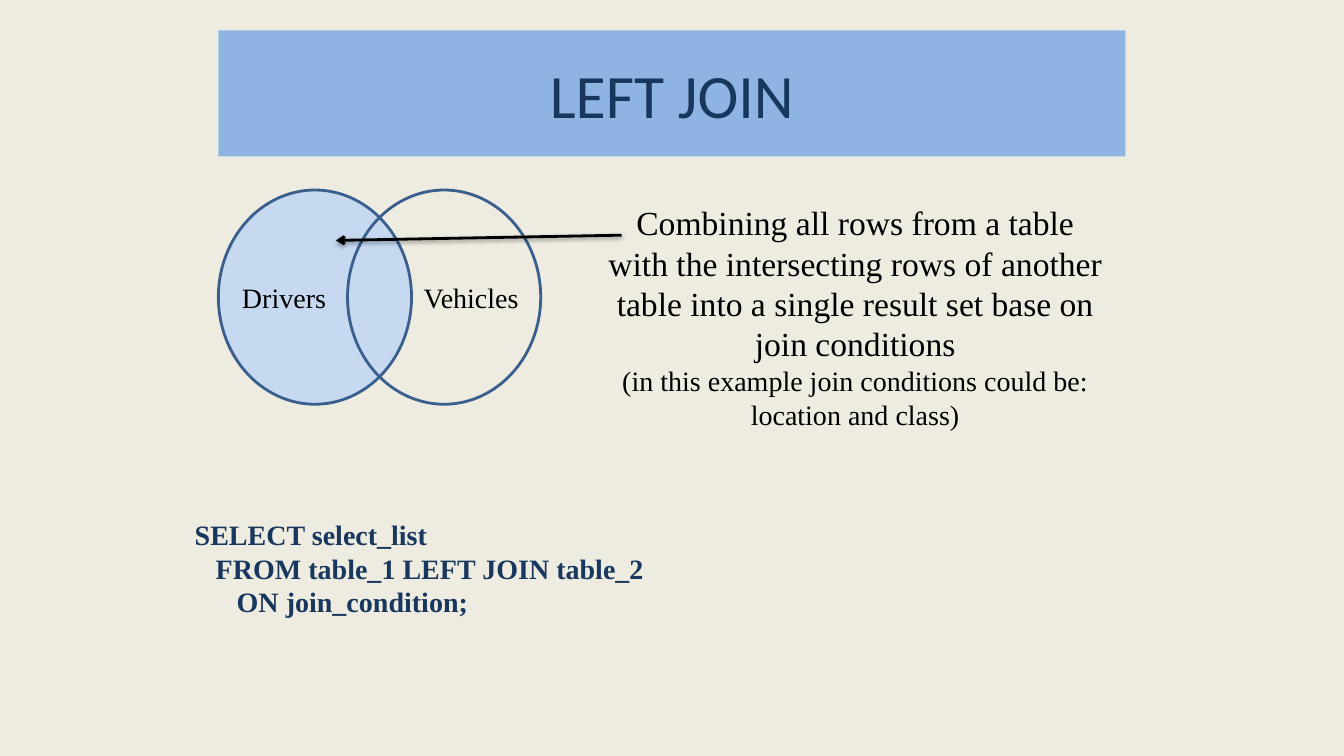
from lxml.etree import SubElement
from pptx import Presentation
from pptx.dml.color import RGBColor
from pptx.enum.shapes import MSO_CONNECTOR as CONN, MSO_SHAPE as SHAPE
from pptx.enum.text import MSO_ANCHOR as ANCHOR, PP_ALIGN as ALIGN
from pptx.oxml import parse_xml
from pptx.oxml.ns import nsdecls, qn
from pptx.util import Pt

PX = 9525  # EMU in one px, 96 px to the inch

CREAM = RGBColor(0xEE, 0xEC, 0xE1)
BANNER_BLUE = RGBColor(0x8E, 0xB4, 0xE3)
NAVY = RGBColor(0x17, 0x37, 0x5E)
PALE_BLUE = RGBColor(0xC6, 0xD9, 0xF1)
OUTLINE_BLUE = RGBColor(0x3A, 0x5F, 0x8C)
BLACK = RGBColor(0, 0, 0)
SERIF = "Times New Roman"

CIRCLE_TOP, CIRCLE_W, CIRCLE_H = 181, 184, 204
CODE_INDENT = 20

SHADOW = (
    f'<a:effectLst {nsdecls("a")}>'
    '<a:outerShdw blurRad="39370" dist="20320" dir="5400000" rotWithShape="0">'
    '<a:srgbClr val="000000"><a:alpha val="38000"/></a:srgbClr>'
    '</a:outerShdw></a:effectLst>'
)


def emu(*lengths):
    return [n * PX for n in lengths]


def add_run(p, text, size, color=BLACK, font=SERIF, bold=False):
    r = p.add_run()
    r.text = text
    r.font.name = font
    r.font.size = Pt(size)
    r.font.bold = bold
    r.font.color.rgb = color


def add_banner(s, text, box):
    sp = s.shapes.add_shape(SHAPE.RECTANGLE, *emu(*box))
    sp.shadow.inherit = False
    sp.fill.solid()
    sp.fill.fore_color.rgb = BANNER_BLUE
    sp.line.fill.background()
    tf = sp.text_frame
    tf.vertical_anchor = ANCHOR.MIDDLE
    p = tf.paragraphs[0]
    p.alignment = ALIGN.CENTER
    add_run(p, text, 44, NAVY, "Calibri")


def add_circle(group, left, fill=None):
    sp = group.shapes.add_shape(
        SHAPE.OVAL, *emu(left, CIRCLE_TOP, CIRCLE_W, CIRCLE_H))
    sp.shadow.inherit = False
    if fill is None:
        sp.fill.background()
    else:
        sp.fill.solid()
        sp.fill.fore_color.rgb = fill
    sp.line.color.rgb = OUTLINE_BLUE
    sp.line.width = Pt(2)


def add_text(s, box, lines, align=ALIGN.LEFT, indent=0, **style):
    """Add one paragraph per (text, size); each steps in by indent px."""
    tf = s.shapes.add_textbox(*emu(*box)).text_frame
    tf.word_wrap = True
    for i, (text, size) in enumerate(lines):
        p = tf.add_paragraph() if i else tf.paragraphs[0]
        p.alignment = align
        if indent:
            p._p.get_or_add_pPr().set("marL", str(i * indent * PX))
        add_run(p, text, size, **style)


def add_arrow(s, start, end):
    line = s.shapes.add_connector(CONN.STRAIGHT, *emu(*start, *end))
    line.line.color.rgb = BLACK
    line.line.width = Pt(2)
    SubElement(line.line._get_or_add_ln(), qn("a:tailEnd"), type="arrow")
    line._element.spPr.append(parse_xml(SHADOW))


def main():
    prs = Presentation()
    prs.slide_width, prs.slide_height = emu(1280, 720)
    s = prs.slides.add_slide(prs.slide_layouts[6])
    s.background.fill.solid()
    s.background.fill.fore_color.rgb = CREAM

    venn = s.shapes.add_group_shape()
    add_circle(venn, 208, PALE_BLUE)
    add_circle(venn, 331)

    add_banner(s, "LEFT JOIN", (208, 29, 864, 120))
    add_text(s, (568, 188, 493, 229), [
        ("Combining all rows from a table with the intersecting rows of "
         "another table into a single result set base on join conditions", 24),
        ("(in this example join conditions could be: location and class)", 20),
    ], ALIGN.CENTER)
    add_arrow(s, (592, 224), (320, 229))
    add_text(s, (176, 488, 591, 107), [
        ("SELECT select_list", 20),
        ("FROM table_1 LEFT JOIN table_2", 20),
        ("ON join_condition;", 20),
    ], indent=CODE_INDENT, color=NAVY, bold=True)
    for name, left in (("Drivers", 221), ("Vehicles", 394)):
        add_text(s, (left, 262, 111, 42), [(name, 20)])

    prs.save("out.pptx")


if __name__ == "__main__":
    main()
